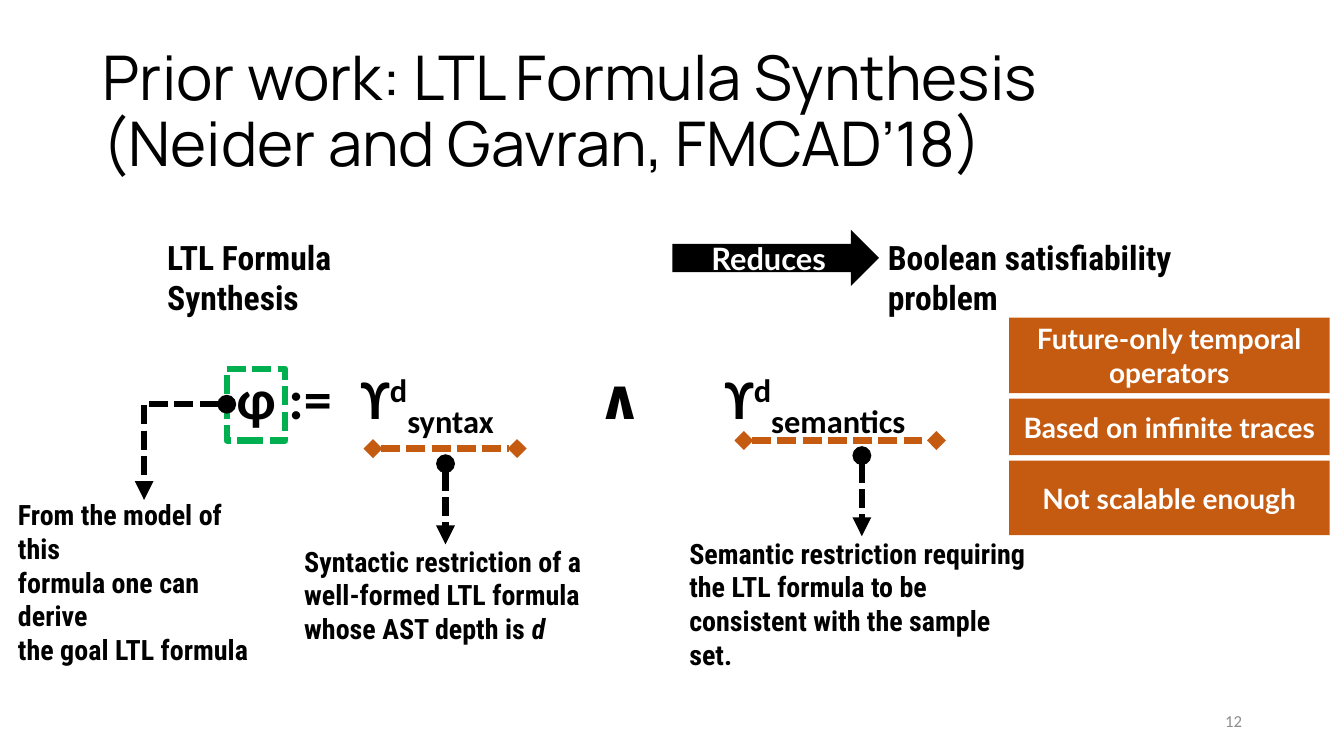
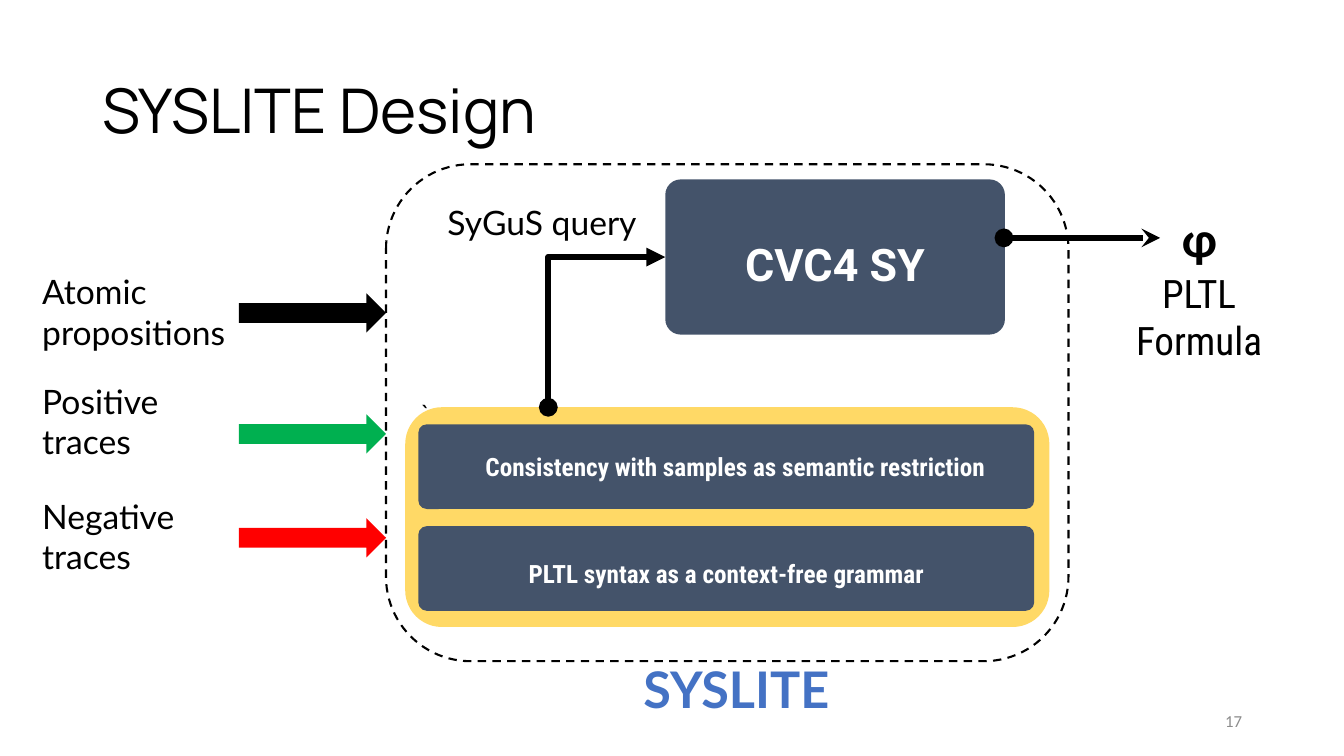
import pptx
import pptx.dml.color
import pptx.enum.dml
import pptx.enum.shapes
import pptx.enum.text
import pptx.oxml
import pptx.oxml.ns
import pptx.util

# The page is a grid of square cells, ten to the inch
CELL = pptx.util.Inches(0.1)
COLUMNS, ROWS = 133.33, 75

BLACK, WHITE, GREY = "000000", "FFFFFF", "8C8C8C"
ORANGE, GREEN, RED = "C55A11", "00B050", "FF0000"
SLATE, YELLOW, BLUE = "44536A", "FFD966", "4472C4"
BODY, LABEL, NARROW = "Calibri", "Lato", "Roboto Condensed"

SHAPES = pptx.enum.shapes.MSO_SHAPE
DASHES = pptx.enum.dml.MSO_LINE
ALIGN = pptx.enum.text.PP_ALIGN
ANCHOR = pptx.enum.text.MSO_ANCHOR
INSETS = (1, 0.5, 1, 0.5)


def cells(*values):
    return [round(value * CELL) for value in values]


def inside(box, left, top, width, height):
    """Box given from the top left corner of another box."""
    return box[0] + left, box[1] + top, width, height


def colour(value):
    return pptx.dml.color.RGBColor.from_string(value)


def element(parent, tag, **attributes):
    child = pptx.oxml.parse_xml(
        f"<a:{tag} {pptx.oxml.ns.nsdecls('a')}/>")
    for name, value in attributes.items():
        child.set(name, str(value))
    parent.append(child)
    return child


def write(shape, paragraphs, size, font=NARROW, color=BLACK, bold=False,
          align=ALIGN.LEFT, anchor=ANCHOR.TOP, insets=INSETS, spacing=None,
          tabs=()):
    """Fill a shape; a paragraph is a string or a list of (text, look) runs."""
    frame = shape.text_frame
    frame.word_wrap = True
    frame.vertical_anchor = anchor
    (frame.margin_left, frame.margin_top,
     frame.margin_right, frame.margin_bottom) = cells(*insets)
    for index, runs in enumerate(paragraphs):
        para = frame.add_paragraph() if index else frame.paragraphs[0]
        para.alignment = align
        if spacing:
            para.line_spacing = spacing
        if tabs:
            stops = element(para._p.get_or_add_pPr(), "tabLst")
            for stop in cells(*tabs):
                element(stops, "tab", pos=stop, algn="l")
        for text, look in [(runs, {})] if isinstance(runs, str) else runs:
            span = para.add_run()
            span.text = text
            span.font.name = font
            span.font.size = pptx.util.Pt(size)
            span.font.bold = bold
            span.font.italic = look.get("italic")
            span.font.color.rgb = colour(color)
            if "baseline" in look:
                span._r.get_or_add_rPr().set(
                    "baseline", str(look["baseline"] * 1000))


def add_text(page, box, paragraphs, size, **style):
    write(page.shapes.add_textbox(*cells(*box)), paragraphs, size, **style)


def set_line(line, color, width, dash=None):
    line.color.rgb = colour(color)
    line.width = pptx.util.Pt(width)
    if dash:
        line.dash_style = dash


def add_block(page, kind, box, fill=None, rounding=None):
    block = page.shapes.add_shape(kind, *cells(*box))
    block.shadow.inherit = False
    block.line.fill.background()
    if fill:
        block.fill.solid()
        block.fill.fore_color.rgb = colour(fill)
    else:
        block.fill.background()
    if rounding is not None:
        block.adjustments[0] = rounding
    return block


def add_line(page, start, end, head, tail, color=BLACK, dash=None,
             bent=False):
    """Straight line, or one that runs sideways and then turns down."""
    kinds = pptx.enum.shapes.MSO_CONNECTOR
    line = page.shapes.add_connector(
        kinds.ELBOW if bent else kinds.STRAIGHT, *cells(*start, *end))
    set_line(line.line, color, 4.5, dash)
    properties = line._element.spPr
    if bent:
        properties.find(pptx.oxml.ns.qn("a:prstGeom")).set(
            "prst", "bentConnector2")
    outline = line.line._get_or_add_ln()
    element(outline, "headEnd", type=head)
    element(outline, "tailEnd", type=tail)
    element(properties, "effectLst")


def add_page(deck, title, number):
    """Blank page with the shared title and page number."""
    page = deck.slides.add_slide(deck.slide_layouts[6])
    add_text(page, (9.2, 4, 115, 14.5), [title], 44, font="Manrope",
             anchor=ANCHOR.MIDDLE, spacing=0.9)
    add_text(page, (94.2, 69.5, 30, 4), [str(number)], 12, font=BODY,
             color=GREY, align=ALIGN.RIGHT, anchor=ANCHOR.MIDDLE)
    return page


# Prior work

def reduction(page, box):
    """One problem reduced to another."""
    add_text(page, inside(box, 0, 0, 31.8, 5),
             ["LTL Formula Synthesis"], 24, bold=True)
    add_text(page, inside(box, 71.5, 0, 40.6, 5),
             ["Boolean satisfiability problem"], 24, bold=True)
    arrow = add_block(page, SHAPES.RIGHT_ARROW,
                      inside(box, 51.1, -0.2, 20.5, 5.6), BLACK)
    write(arrow, ["Reduces"], 22, font=LABEL, color=WHITE, bold=True,
          align=ALIGN.CENTER, anchor=ANCHOR.MIDDLE)


def formula(page, box):
    """Formula with a framed symbol and two underlined terms."""
    left, top = box[:2]
    upper, lower = {"baseline": 30}, {"baseline": -25}
    add_text(page, box, [[
        ("φ :=\tϒ", {}), ("d", upper), ("syntax", lower),
        ("\t∧\tϒ", {}), ("d", upper), ("semantics", lower),
    ]], 40, font=BODY, bold=True, tabs=(12.3, 35.8, 48.4))
    frame = add_block(page, SHAPES.RECTANGLE, inside(box, 0, 1, 5.8, 7.1))
    set_line(frame.line, GREEN, 4.5, DASHES.SQUARE_DOT)
    add_line(page, (left, top + 4.5), (left - 8.2, top + 14),
             "oval", "triangle", dash=DASHES.SQUARE_DOT, bent=True)
    for start, end, middle, row in ((14.5, 28.8, 21.7, 8.9),
                                    (51.3, 70.4, 63, 8.1)):
        add_line(page, (left + start, top + row), (left + end, top + row),
                 "diamond", "diamond", ORANGE, DASHES.SQUARE_DOT)
        pointer = top + row + 1.5
        add_line(page, (left + middle, pointer),
                 (left + middle, pointer + 8),
                 "oval", "triangle", dash=DASHES.SQUARE_DOT)


def explanations(page, box):
    """Notes below the three pointers."""
    notes = (
        (0, 0, 26.9, ["From the model of this", "formula one can derive",
                      "the goal LTL formula"]),
        (28.4, 4.6, 30, ["Syntactic restriction of a",
                         "well-formed LTL formula",
                         [("whose AST depth is ", {}),
                          ("d", {"italic": True})]]),
        (66.6, 3.8, 36.2, ["Semantic restriction requiring the LTL formula "
                           "to be consistent with the sample set."]),
    )
    for left, top, width, lines in notes:
        add_text(page, inside(box, left, top, width, 11.1), lines, 20,
                 bold=True)


def limitations(page, box):
    """Stack of bars with equal gaps that fills the box."""
    bars = (("Future-only temporal operators", 7.5),
            ("Based on infinite traces", 5.6),
            ("Not scalable enough", 7.4))
    gap = (box[3] - sum(height for _, height in bars)) / (len(bars) - 1)
    top = 0
    for label, height in bars:
        bar = add_block(page, SHAPES.RECTANGLE,
                        inside(box, 0, top, box[2], height), ORANGE)
        write(bar, [label], 20, font=LABEL, color=WHITE, bold=True,
              align=ALIGN.CENTER, anchor=ANCHOR.MIDDLE)
        top += height + gap


def prior_work(deck):
    page = add_page(deck, "Prior work: LTL Formula Synthesis "
                          "(Neider and Gavran, FMCAD’18)", 12)
    reduction(page, (15.6, 23, 112.1, 5))
    formula(page, (22.5, 35.6, 83.7, 11.3))
    explanations(page, (0.8, 48.9, 102.8, 15.7))
    limitations(page, (100.1, 31.5, 31.8, 21.6))


# System design

def panel(page, box, label, size, font=NARROW, shift=(0, 0)):
    """Dark rounded panel, its label moved off the centre by a shift."""
    block = add_block(page, SHAPES.ROUNDED_RECTANGLE, box, SLATE, 0.1)
    insets = (2 * shift[0], 2 * shift[1], 0, 0)
    write(block, [label], size, font=font, color=WHITE, bold=True,
          align=ALIGN.CENTER, anchor=ANCHOR.MIDDLE, insets=insets)


def system(page, box):
    """Dashed system border with the solver and its two restrictions."""
    left, top, width, height = box
    border = add_block(page, SHAPES.ROUNDED_RECTANGLE, box, WHITE, 0.17)
    set_line(border.line, BLACK, 1.5, DASHES.DASH)
    write(border, ["`"], 18, font=BODY, anchor=ANCHOR.MIDDLE,
          insets=(1, 1, 1, 1))
    add_text(page, inside(box, 22.2, height - 0.8, 25.1, 6.9), ["SYSLITE"],
             36, font=LABEL, color=BLUE, bold=True, align=ALIGN.CENTER)
    panel(page, inside(box, 27.7, 1.5, 33.7, 15.4), "CVC4 SY", 32,
          "Roboto", (0, 0.7))

    # Restrictions
    store = inside(box, 1.9, 24.1, 63.9, 21.8)
    add_block(page, SHAPES.ROUNDED_RECTANGLE, store, YELLOW)
    panel(page, inside(store, 1.3, 1.7, 61.1, 8.4),
          "Consistency with samples as semantic restriction", 18,
          shift=(0.9, 0))
    panel(page, inside(store, 1.3, 11.8, 61.1, 8.4),
          "PLTL syntax as a context-free grammar", 18, shift=(0, 0.5))

    # Query from the restrictions to the solver
    add_line(page, (left + 27.7, top + 9.2), (left + 16.1, store[1]),
             "triangle", "oval", bent=True)
    add_text(page, inside(box, 5.1, 3.2, 20.9, 5), ["SyGuS query"], 24,
             font=LABEL)


def inputs(page, box):
    """Named inputs, each with an arrow into the system."""
    rows = ((0, 3.7, BLACK, ["Atomic", "propositions"]),
            (10.9, 15.7, GREEN, ["Positive", "traces"]),
            (22.3, 26, RED, ["Negative", "traces"]))
    for text_top, arrow_top, fill, lines in rows:
        add_text(page, inside(box, 0, text_top, 20.5, 9.1), lines, 24,
                 font=LABEL)
        add_block(page, SHAPES.RIGHT_ARROW,
                  inside(box, box[2] - 14.6, arrow_top - 1, 14.6, 3.9), fill)


def output(page, box):
    """Arrow to the resulting formula."""
    left, top = box[:2]
    add_line(page, (left, top + 3.5), (left + 15.5, top + 3.5),
             "oval", "stealth")
    add_text(page, inside(box, 15.5, 0, 7.8, 7.4), ["φ"], 36, font=BODY,
             bold=True, align=ALIGN.CENTER)
    add_text(page, inside(box, 10.9, 6.1, 16.9, 10.4), ["PLTL", "Formula"],
             28, align=ALIGN.CENTER)


def system_design(deck):
    page = add_page(deck, "SYSLITE Design", 17)
    system(page, (38.3, 16.3, 67.7, 49.3))
    inputs(page, (3.2, 26.4, 35.1, 31.4))
    output(page, (99.6, 20.1, 27.8, 16.5))


def main():
    deck = pptx.Presentation()
    deck.slide_width, deck.slide_height = cells(COLUMNS, ROWS)
    prior_work(deck)
    system_design(deck)
    deck.save("out.pptx")


if __name__ == "__main__":
    main()
